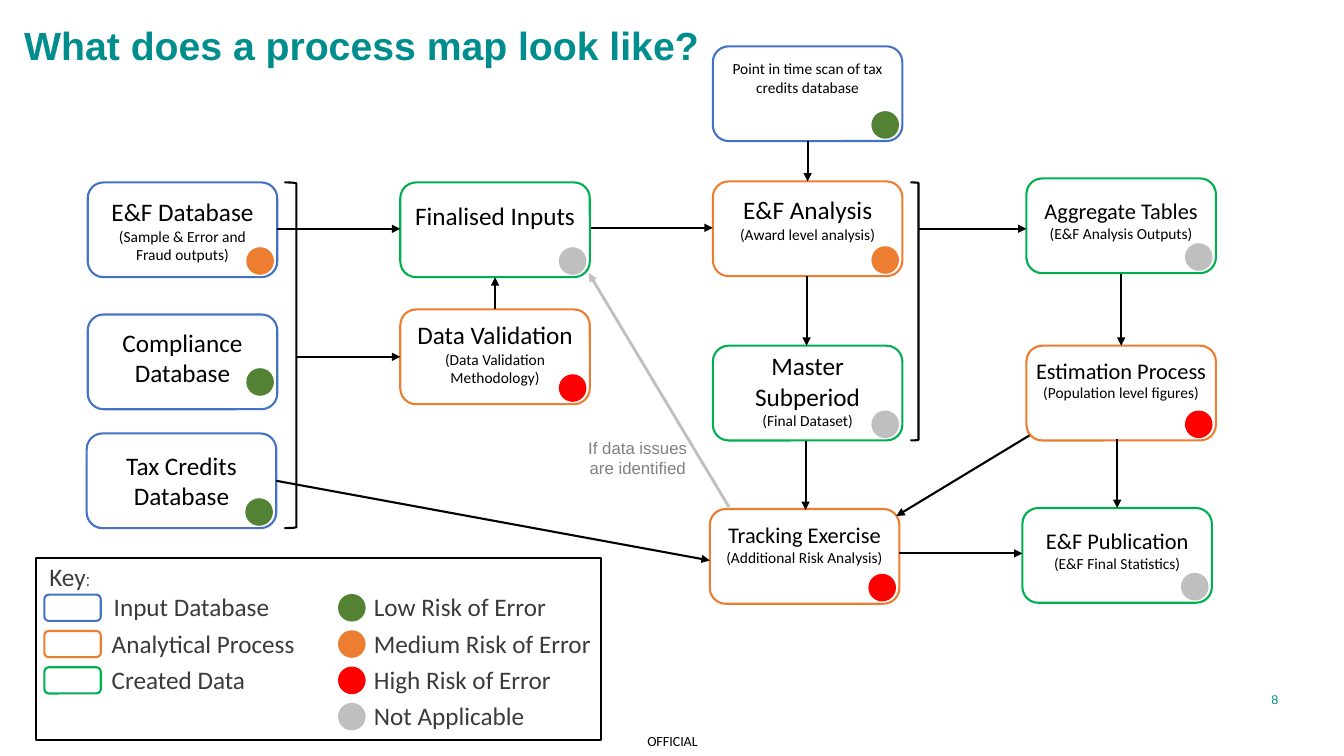
import pptx
import pptx.util
import pptx.dml.color
import pptx.enum.shapes
import pptx.enum.text
import pptx.oxml.ns
import lxml.etree

RGBColor = pptx.dml.color.RGBColor
SHAPE = pptx.enum.shapes.MSO_SHAPE
ALIGN = pptx.enum.text.PP_ALIGN
ANCHOR = pptx.enum.text.MSO_ANCHOR
FIT = pptx.enum.text.MSO_AUTO_SIZE

BLACK = RGBColor(0x00, 0x00, 0x00)
WHITE = RGBColor(0xFF, 0xFF, 0xFF)
TEAL = RGBColor(0x00, 0x8D, 0x8E)
CHARCOAL = RGBColor(0x3B, 0x3A, 0x3D)
MID_GREY = RGBColor(0x80, 0x80, 0x80)
INPUT = RGBColor(0x44, 0x72, 0xC4)
PROCESS = RGBColor(0xED, 0x7D, 0x31)
CREATED = RGBColor(0x00, 0xB0, 0x50)
LOW = RGBColor(0x54, 0x82, 0x35)
MEDIUM = PROCESS
HIGH = RGBColor(0xFF, 0x00, 0x00)
NOT_APPLICABLE = RGBColor(0xBF, 0xBF, 0xBF)

# The grid has ten units to the inch, across and down
UNIT = 0.1
BOX_WIDTH, BOX_HEIGHT, DOT = 18.8, 9.4, 2.6
FIRST_COLUMN, COLUMN_PITCH = 8.7, 31


def grid(*units):
    return [pptx.util.Inches(unit * UNIT) for unit in units]


class ProcessMap:
    font, line_width = "Calibri", 1.5

    def __init__(self, slide):
        self.slide = slide

    def apply(self, target, formats):
        for attribute, value in formats.items():
            setattr(target, attribute, value)

    def shape(self, kind, place, line, fill=None, width=line_width):
        part = self.slide.shapes.add_shape(kind, *grid(*place))
        part.shadow.inherit = False
        if fill is None:
            part.fill.background()
        else:
            part.fill.solid()
            part.fill.fore_color.rgb = fill
        part.line.color.rgb = line
        part.line.width = pptx.util.Pt(width)

    def dot(self, left, top, risk):
        self.shape(SHAPE.OVAL, (left, top, DOT, DOT), risk, risk, 1)

    def words(self, paragraph, wording, size, color, font=font, bold=False):
        run = paragraph.add_run()
        run.text = wording
        self.apply(run.font, {"name": font, "size": pptx.util.Pt(size), "bold": bold})
        run.font.color.rgb = color

    def text(self, place, lines, color=BLACK, font=font, align=ALIGN.CENTER,
             frame_format=None):
        frame = self.slide.shapes.add_textbox(*grid(*place)).text_frame
        self.apply(frame, {"word_wrap": True, "auto_size": FIT.SHAPE_TO_FIT_TEXT,
                           **(frame_format or {})})
        for index, (wording, size) in enumerate(lines):
            paragraph = frame.add_paragraph() if index else frame.paragraphs[0]
            paragraph.alignment = align
            self.words(paragraph, wording, size, color, font)
        return frame

    def title(self, place, wording):
        heading = self.slide.shapes.title
        self.apply(heading, dict(zip(("left", "top", "width", "height"), grid(*place))))
        self.apply(heading.text_frame, {"word_wrap": True, "vertical_anchor": ANCHOR.TOP,
                                        "auto_size": FIT.NONE})
        paragraph = heading.text_frame.paragraphs[0]
        paragraph.alignment = ALIGN.LEFT
        self.words(paragraph, wording, 28, TEAL, "Arial", True)

    def step(self, left, top, kind, risk, lines, drop, width, height, dot_drop=6.5):
        self.shape(SHAPE.ROUNDED_RECTANGLE, (left, top, BOX_WIDTH, BOX_HEIGHT), kind)
        self.text((left + (BOX_WIDTH - width) / 2, top + drop, width, height), lines)
        self.dot(left + 15.8, top + dot_drop, risk)

    def arrow(self, start, end, color=BLACK, width=line_width):
        link = self.slide.shapes.add_connector(
            pptx.enum.shapes.MSO_CONNECTOR.STRAIGHT, *grid(*start, *end))
        link.line.color.rgb = color
        link.line.width = pptx.util.Pt(width)
        name, properties = pptx.oxml.ns.qn, link.element.spPr
        lxml.etree.SubElement(properties.find(name("a:ln")), name("a:tailEnd"),
                              type="triangle")
        lxml.etree.SubElement(properties, name("a:effectLst"))


deck = pptx.Presentation()
deck.slide_width, deck.slide_height = pptx.util.Inches(13.33), pptx.util.Inches(7.5)
process_map = ProcessMap(deck.slides.add_slide(deck.slide_layouts[5]))
process_map.title((1.4, 1.6, 100, 5.7), "What does a process map look like?")

# Steps: column, shift, top, kind, risk, lines, text drop, text width and height, dot drop
steps = [
    (0, 0, 18.1, INPUT, MEDIUM, [("E&F Database", 18),
     ("(Sample & Error and Fraud outputs)", 11)], 0.9, 18.1, 7.7),
    (0, 0, 31.2, INPUT, LOW, [("Compliance Database", 18)], 0.8, 18.1, 7.1, 5.4),
    (0, -0.1, 43, INPUT, LOW, [("Tax Credits Database", 18)], 1.2, 18.1, 7.1),
    (1, 0, 18.1, CREATED, NOT_APPLICABLE, [("Finalised Inputs", 18)], 1.3, 18.1, 4),
    (1, 0, 30.7, PROCESS, HIGH, [("Data Validation", 18),
     ("(Data Validation Methodology)", 11)], 0.5, 18.1, 7.7),
    (2, 0, 4.6, INPUT, LOW, [("Point in time scan of tax credits database", 11)],
     0.8, 18.1, 4.7),
    (2, 0, 18, PROCESS, MEDIUM, [("E&F Analysis", 18),
     ("(Award level analysis)", 11)], 0.8, 18.1, 5.9),
    (2, 0, 34.3, CREATED, NOT_APPLICABLE, [("Master Subperiod", 18),
     ("(Final Dataset)", 11)], 0, 18.1, 8.9),
    (2, -0.3, 50.5, PROCESS, HIGH, [("Tracking Exercise", 16),
     ("(Additional Risk Analysis)", 11)], 0.7, 19, 5.6),
    (3, 0.1, 17.7, CREATED, NOT_APPLICABLE, [("Aggregate Tables", 16),
     ("(E&F Analysis Outputs)", 11)], 1.4, 18.1, 5.6),
    (3, 0.1, 34.3, PROCESS, HIGH, [("Estimation Process", 16),
     ("(Population level figures)", 11)], 0.6, 19, 5.6),
    (3, -0.3, 50.4, CREATED, NOT_APPLICABLE, [("E&F Publication", 16),
     ("(E&F Final Statistics)", 11)], 1.4, 18.1, 5.6),
]
for column, shift, *details in steps:
    process_map.step(FIRST_COLUMN + column * COLUMN_PITCH + shift, *details)

# Brackets that gather the inputs and the analysis
for place in [(28.2, 18.1, 1.2, 34.3), (90.3, 18.1, 0.8, 25.6)]:
    process_map.shape(SHAPE.RIGHT_BRACKET, place, BLACK)

# Flow between the steps
flows = [
    ((27.5, 22.7), (39.7, 22.7)), ((29.4, 35.4), (39.7, 35.4)),
    ((49.1, 30.7), (49.1, 27.5)), ((58.6, 22.6), (70.7, 22.6)),
    ((80.1, 14), (80.1, 18)), ((80, 27.4), (80, 34.3)), ((79.9, 43.8), (79.9, 50.6)),
    ((91.1, 22.7), (101.8, 22.7)), ((111.2, 27.2), (111.2, 34.3)),
    ((110.8, 43.6), (110.8, 50.4)), ((89.2, 54.9), (101.4, 54.9)),
    ((27.4, 47.7), (70.4, 55.6)), ((102.1, 43.2), (88.9, 51.2)),
]
for start, end in flows:
    process_map.arrow(start, end)
process_map.arrow((72.3, 50.3), (58.4, 27.1), NOT_APPLICABLE, 2)
process_map.text((56.5, 42.9, 13.5, 5), [("If data issues are identified", 12)],
                 MID_GREY, "Arial")

# Key
KEY_TOP, KEY_PITCH, LABEL_RISE = 59, 3.6, 0.8
key_format = {"color": CHARCOAL, "align": ALIGN.LEFT, "frame_format": {"word_wrap": False}}
process_map.shape(SHAPE.RECTANGLE, (3.6, 55.4, 56, 18), BLACK, WHITE)
key_heading = process_map.text((3.9, 55.2, 6.1, 4), [("Key", 18)], **key_format)
process_map.words(key_heading.paragraphs[0], ":", 12, CHARCOAL, "Arial")
kinds = [("Input Database", INPUT, 10.3, 17.6), ("Analytical Process", PROCESS, 10.1, 20.3),
         ("Created Data", CREATED, 10.1, 15.4)]
for row, (label, kind, left, width) in enumerate(kinds):
    top = KEY_TOP + row * KEY_PITCH
    process_map.shape(SHAPE.ROUNDED_RECTANGLE, (4.4, top, 5.6, DOT), kind)
    process_map.text((left, top - LABEL_RISE, width, 4), [(label, 18)], **key_format)
risks = [("Low Risk of Error", LOW, 19.9), ("Medium Risk of Error", MEDIUM, 23.8),
         ("High Risk of Error", HIGH, 19.8), ("Not Applicable", NOT_APPLICABLE, 17.1)]
for row, (label, risk, width) in enumerate(risks):
    top = KEY_TOP + row * KEY_PITCH
    process_map.dot(33.6, top, risk)
    process_map.text((36.1, top - LABEL_RISE, width, 4), [(label, 18)], **key_format)

# Footer
no_margins = dict.fromkeys(("margin_left", "margin_top", "margin_right", "margin_bottom"), 0)
process_map.text((62.7, 72.1, 8, 2.9), [("OFFICIAL", 10)],
                 frame_format={**no_margins, "vertical_anchor": ANCHOR.MIDDLE,
                               "auto_size": FIT.NONE})
process_map.text((123.4, 68.6, 3.4, 1.5), [("8", 9)], TEAL, "Arial", ALIGN.RIGHT, no_margins)

deck.save("out.pptx")
